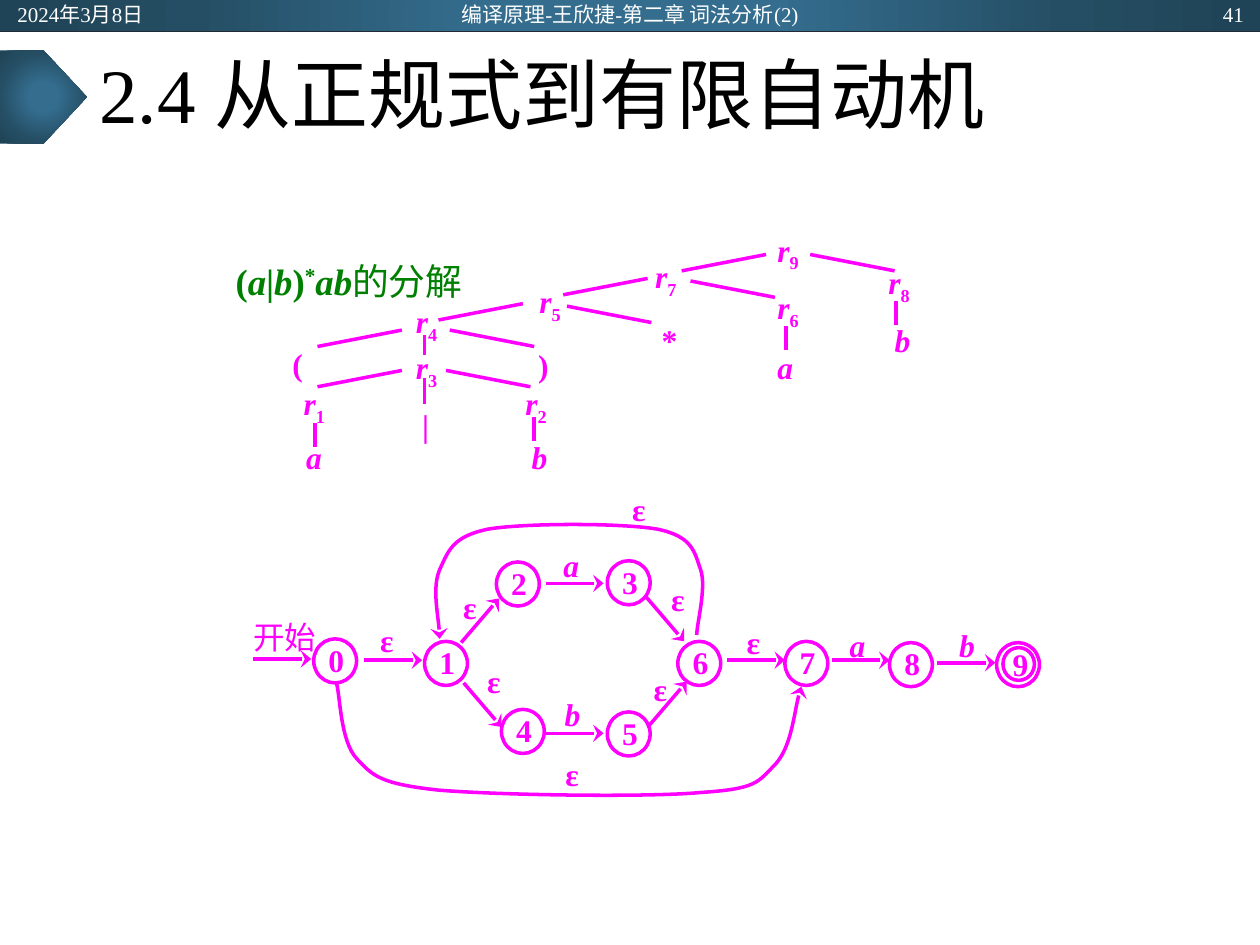
from pptx import Presentation
from pptx.dml.color import RGBColor
from pptx.enum import shapes, text
from pptx.oxml import parse_xml
from pptx.oxml.ns import nsdecls, qn
from pptx.util import Cm, Pt

MAGENTA, GREEN, WHITE, BLACK, NAVY = "FF00FF", "008000", "FFFFFF", "000000", "222A35"
FONT = "Times New Roman"
LEFT, CENTER, RIGHT, JUSTIFY = (text.PP_ALIGN.LEFT, text.PP_ALIGN.CENTER,
                                text.PP_ALIGN.RIGHT, text.PP_ALIGN.JUSTIFY)
GRADIENT = [(0, "346D8E"), (23, "346D8E"), (69, "254E64"), (97, "204457")]

TITLE = "2.4 从正规式到有限自动机"
HEADER = [
    ("2024年3月8日", 0.04, 2.25, LEFT),
    ("编译原理-王欣捷-第二章 词法分析(2)", 3.31, 3.38, CENTER),
    ("41", 7.72, 2.25, RIGHT),
]
CAPTION = [("(", "b"), ("a", "bi"), ("|", "b"), ("b", "bi"), (")", "b"),
           ("*", "b^"), ("ab", "bi"), ("的分解", "")]

STATES = [
    ("0", 2.49, 5.07), ("1", 3.37, 5.09), ("2", 3.94, 4.46), ("3", 4.82, 4.45),
    ("4", 3.98, 5.63), ("5", 4.82, 5.65), ("6", 5.38, 5.09), ("7", 6.23, 5.09),
    ("8", 7.06, 5.1), ("", 7.91, 5.1),
]
STATE_SIZE = (0.34, 0.35)
FINAL_STATE = ("9", 7.96, 5.14)
FINAL_SIZE = (0.25, 0.26)
EPSILONS = [(2.92, 4.93), (3.58, 4.67), (3.77, 5.26), (5.23, 4.61), (5.09, 5.32),
            (4.39, 6), (5.83, 4.95), (4.92, 3.89)]
LETTERS = [("a", 4.4, 4.34), ("b", 4.41, 5.52), ("a", 6.67, 4.97), ("b", 7.54, 4.97)]
STRAIGHT_ARROWS = [(2.01, 5.23), (2.89, 5.24), (4.33, 4.63), (4.33, 5.82),
                   (5.77, 5.24), (6.6, 5.24), (7.44, 5.26)]
RISING_ARROWS = [(3.66, 5.1), (5.15, 5.76)]
FALLING_ARROWS = [(5.13, 4.74), (3.68, 5.42)]
LOOPS = [
    [(2.67, 5.42), (2.7, 5.52), (2.7, 5.88), (2.83, 6.02), (2.96, 6.16), (3.02, 6.22),
     (3.47, 6.27), (3.93, 6.31), (5.12, 6.33), (5.56, 6.29), (6.01, 6.26), (6.01, 6.21),
     (6.15, 6.07), (6.28, 5.93), (6.31, 5.58), (6.36, 5.45)],
    [(5.53, 5.04), (5.53, 4.95), (5.61, 4.66), (5.56, 4.52), (5.51, 4.38), (5.5, 4.26),
     (5.22, 4.2), (4.94, 4.15), (4.16, 4.15), (3.87, 4.2), (3.59, 4.26), (3.56, 4.37),
     (3.49, 4.52), (3.43, 4.66), (3.49, 4.95), (3.49, 5.07)],
]

RULES = [("9", 6.13, 1.82), ("7", 5.16, 2.03), ("8", 7.01, 2.08), ("4", 3.26, 2.39),
         ("3", 3.26, 2.75), ("5", 4.24, 2.23), ("6", 6.13, 2.28), ("2", 4.13, 3.04),
         ("1", 2.37, 3.04)]
LEAVES = [("*", "b", 5.21, 2.54), (")", "b", 4.23, 2.74), ("(", "b", 2.28, 2.73),
          ("|", "b", 3.31, 3.21), ("a", "bi", 2.39, 3.47), ("b", "bi", 4.18, 3.47),
          ("a", "bi", 6.13, 2.75), ("b", "bi", 7.06, 2.54)]
RIGHT_BRANCHES = [(6.43, 2.02), (3.54, 2.94), (5.48, 2.23), (4.5, 2.43), (3.57, 2.62)]
LEFT_BRANCHES = [(6.08, 2.02), (5.14, 2.21), (4.15, 2.41), (3.19, 2.62), (3.19, 2.94)]
STEMS = [(3.37, 2.66, 0.16), (7.11, 2.39, 0.19), (6.24, 2.59, 0.19), (3.37, 3, 0.21),
         (4.24, 3.31, 0.19), (2.5, 3.36, 0.19)]

presentation = Presentation()


def inches(value):
    return Cm(value * 2.54)


presentation.slide_width, presentation.slide_height = inches(10), inches(7.5)
slide = presentation.slides.add_slide(presentation.slide_layouts[6])


def color(value):
    return RGBColor.from_string(value)


def write(shape, runs, size, ink, align, insets=(0.1, 0.05, 0.1, 0.05),
          anchor=text.MSO_ANCHOR.MIDDLE, wrap=True):
    frame = shape.text_frame
    frame.word_wrap = wrap
    frame.vertical_anchor = anchor
    (frame.margin_left, frame.margin_top,
     frame.margin_right, frame.margin_bottom) = map(inches, insets)
    paragraph = frame.paragraphs[0]
    paragraph.alignment = align
    paragraph.font.name, paragraph.font.size = FONT, Pt(size)
    paragraph.font.color.rgb = color(ink)
    for words, style in runs:
        run = paragraph.add_run()
        run.text = words
        run.font.bold, run.font.italic = "b" in style, "i" in style
        for mark, baseline in (("^", "30000"), ("_", "-25000")):
            if mark in style:
                run._r.get_or_add_rPr().set("baseline", baseline)
    return paragraph


def add_text(box, *arguments, **options):
    return write(slide.shapes.add_textbox(*map(inches, box)), *arguments, **options)


def add_gradient(kind, box):
    shape = slide.shapes.add_shape(kind, *map(inches, box))
    shape.shadow.inherit = False
    shape.line.fill.background()
    shape.fill.background()
    stops = "".join(f'<a:gs pos="{at * 1000}"><a:srgbClr val="{value}"/></a:gs>'
                    for at, value in GRADIENT)
    gradient = parse_xml(
        f'<a:gradFill {nsdecls("a")} rotWithShape="1"><a:gsLst>{stops}</a:gsLst>'
        '<a:path path="circle"><a:fillToRect l="50000" t="50000" r="50000" b="50000"/>'
        '</a:path></a:gradFill>')
    properties = shape._element.spPr
    properties.replace(properties.find(qn("a:noFill")), gradient)


def style_line(shape, ink=MAGENTA, width=2, arrow=False):
    shape.line.color.rgb = color(ink)
    shape.line.width = Pt(width)
    if arrow:
        shape.line._get_or_add_ln().append(
            parse_xml(f'<a:tailEnd {nsdecls("a")} type="stealth" w="lg" len="med"/>'))


def add_line(x, y, dx, dy, **options):
    line = slide.shapes.add_connector(shapes.MSO_CONNECTOR.STRAIGHT,
                                      *map(inches, (x, y, x + dx, y + dy)))
    style_line(line, **options)
    line._element.spPr.append(parse_xml(f'<a:effectLst {nsdecls("a")}/>'))


def add_state(name, x, y, size, insets):
    shape = slide.shapes.add_shape(shapes.MSO_SHAPE.OVAL, *map(inches, (x, y, *size)))
    shape.shadow.inherit = False
    shape.fill.background()
    style_line(shape)
    if name:
        write(shape, [(name, "b")], 18, MAGENTA, CENTER, insets, wrap=False)


def add_loop(knots):
    start, *rest = [tuple(map(inches, point)) for point in knots]
    builder = slide.shapes.build_freeform(*start)
    builder.add_line_segments(rest, close=False)
    shape = builder.convert_to_shape()
    segments = list(shape._element.iter(qn("a:lnTo")))
    for first in range(0, len(segments), 3):
        curve = parse_xml(f'<a:cubicBezTo {nsdecls("a")}/>')
        segments[first].addprevious(curve)
        for segment in segments[first:first + 3]:
            curve.append(segment[0])
            segment.getparent().remove(segment)
    shape.shadow.inherit = False
    shape.fill.background()
    style_line(shape, arrow=True)


add_gradient(shapes.MSO_SHAPE.RECTANGLE, (0, 0, 10, 0.25))
add_line(0, 0.25, 10, 0, ink=NAVY, width=0.5)
add_gradient(shapes.MSO_SHAPE.PENTAGON, (0, 0.4, 0.69, 0.74))
add_text((0.69, 0.26, 8.62, 1.04), [(TITLE, "")], 44, BLACK, LEFT).line_spacing = 0.9
for words, x, width, align in HEADER:
    add_text((x, 0.01, width, 0.2), [(words, "")], 12, WHITE, align)

for name, x, y in STATES:
    add_state(name, x, y, STATE_SIZE, (0.04, 0.02, 0.02, 0.04))
add_state(*FINAL_STATE, FINAL_SIZE, (0.04, 0, 0.01, 0))
edge_labels = [("开始", "", 1.83, 4.89, 0.86, 0.33)]
edge_labels += [("ε", "b", x, y, 0.3, 0.29) for x, y in EPSILONS]
edge_labels += [(letter, "bi", x, y, 0.27, 0.29) for letter, x, y in LETTERS]
for words, style, *box in edge_labels:
    add_text(box, [(words, style)], 18, MAGENTA, CENTER, (0.04, 0.02, 0.04, 0.02))
for starts, dx, dy in ((STRAIGHT_ARROWS, 0.46, 0), (RISING_ARROWS, 0.3, -0.35),
                       (FALLING_ARROWS, 0.3, 0.35)):
    for x, y in starts:
        add_line(x, y, dx, dy, arrow=True)
for knots in LOOPS:
    add_loop(knots)

tree_labels = [([("r", "bi"), (index, "b_")], x, y) for index, x, y in RULES]
tree_labels += [([(words, style)], x, y) for words, style, x, y in LEAVES]
for runs, x, y in tree_labels:
    add_text((x, y, 0.38, 0.23), runs, 18, MAGENTA, JUSTIFY,
             (0.04, 0.01, 0.04, 0.01), text.MSO_ANCHOR.TOP)
for starts, dx in ((RIGHT_BRANCHES, 0.67), (LEFT_BRANCHES, -0.67)):
    for x, y in starts:
        add_line(x, y, dx, 0.13)
for x, y, height in STEMS:
    add_line(x, y, 0, height)
add_text((1.69, 2.03, 2.17, 0.41), CAPTION, 21, GREEN, CENTER,
         (0.06, 0.02, 0.07, 0.04), text.MSO_ANCHOR.TOP)

presentation.save("out.pptx")
